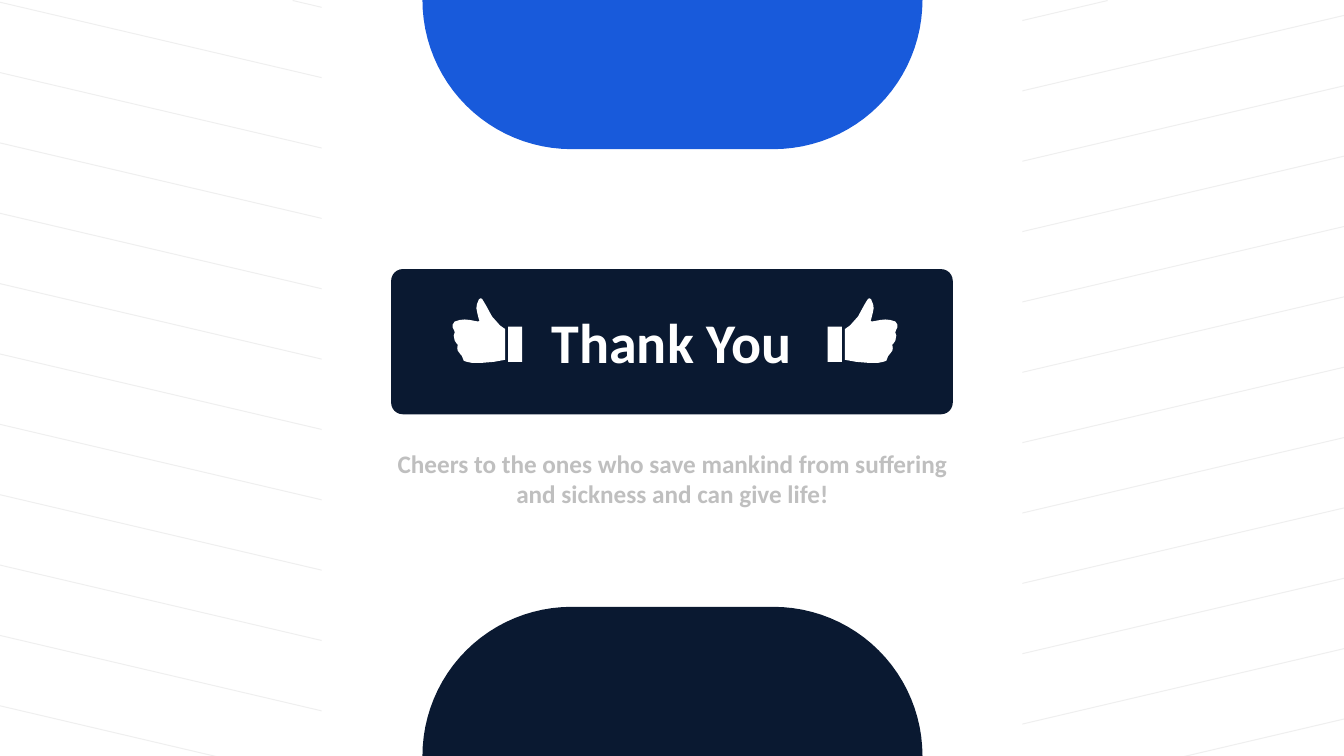
from math import cos, pi, sin

from pptx import Presentation
from pptx.dml.color import RGBColor
from pptx.enum.shapes import MSO_SHAPE
from pptx.enum.text import MSO_AUTO_SIZE, PP_ALIGN
from pptx.util import Inches, Pt

WHITE = RGBColor(0xFF, 0xFF, 0xFF)
NAVY = RGBColor(0x0A, 0x19, 0x31)
BLUE = RGBColor(0x18, 0x5A, 0xDB)
PALE = RGBColor(0xEF, 0xEF, 0xEF)
GREY = RGBColor(0xBF, 0xBF, 0xBF)

WIDE, HIGH = 13.33, 7.5
SLOPE, STEP, THICK = 0.2346, 0.698, 0.01
MIRROR = 13.39  # sum of the x values of a point and its twin on the card

THUMB = [
    (8.38, 3.57), (8.49, 3.59), (8.61, 3.6), (8.71, 3.6), (8.76, 3.59),
    (8.79, 3.58), (8.81, 3.53), (8.82, 3.52), (8.85, 3.48), (8.855, 3.455),
    (8.85, 3.42), (8.86, 3.41), (8.88, 3.38), (8.89, 3.33), (8.88, 3.3),
    (8.885, 3.28), (8.9, 3.25), (8.9, 3.22), (8.88, 3.19), (8.83, 3.175),
    (8.78, 3.17), (8.73, 3.175), (8.65, 3.19), (8.635, 3.185), (8.64, 3.17),
    (8.655, 3.11), (8.665, 3.06), (8.66, 3.02), (8.64, 2.97), (8.625, 2.96),
    (8.61, 2.965), (8.6, 2.98), (8.57, 3.03), (8.51, 3.14), (8.43, 3.23),
    (8.38, 3.265),
]


class Deck:
    def __init__(self):
        self.prs = Presentation()
        self.prs.slide_width = Inches(WIDE)
        self.prs.slide_height = Inches(HIGH)
        self.slide = self.prs.slides.add_slide(self.prs.slide_layouts[6])
        self.shapes = self.slide.shapes
        self.font = "Calibri"

    def paint(self, shape, color):
        shape.shadow.inherit = False
        shape.fill.solid()
        shape.fill.fore_color.rgb = color
        shape.line.fill.background()
        return shape

    def box(self, kind, x, y, w, h, color):
        shape = self.shapes.add_shape(
            kind, Inches(x), Inches(y), Inches(w), Inches(h))
        return self.paint(shape, color)

    def outline(self, loops, color):
        """Draw closed loops of points as one filled freeform."""
        loops = [[(Inches(x), Inches(y)) for x, y in loop] for loop in loops]
        pen = self.shapes.build_freeform(*loops[0][0])
        for i, loop in enumerate(loops):
            if i:
                pen.move_to(*loop[0])
            pen.add_line_segments(loop[1:], close=True)
        return self.paint(pen.convert_to_shape(), color)

    def text(self, words, x, y, w, h, size, color, wrap):
        box = self.shapes.add_textbox(
            Inches(x), Inches(y), Inches(w), Inches(h))
        frame = box.text_frame
        frame.word_wrap = wrap
        frame.auto_size = MSO_AUTO_SIZE.SHAPE_TO_FIT_TEXT
        para = frame.paragraphs[0]
        para.alignment = PP_ALIGN.CENTER
        run = para.add_run()
        run.text = words
        run.font.name = self.font
        run.font.size = Pt(size)
        run.font.bold = True
        run.font.color.rgb = color


def stripe(inner, outer, low):
    """Thin band rising from the inner to the outer edge, cut at the slide."""
    side = 1 if outer > inner else -1
    near = max(0, (low - HIGH) / SLOPE)
    far = min(abs(outer - inner), low / SLOPE)
    ends = [(inner + side * run, low - SLOPE * run) for run in (near, far)]
    return ends + [(x, y + THICK) for x, y in reversed(ends)]


def cap(left, right, edge, tip):
    """Half pill with quarter-circle corners as tall as the shape."""
    rad, turns = abs(tip - edge), 24
    arc = [(rad * (1 - cos(a)), edge + (tip - edge) * sin(a))
           for a in (pi / 2 * i / turns for i in range(turns + 1))]
    return ([(left + x, y) for x, y in arc]
            + [(right - x, y) for x, y in reversed(arc)])


def main():
    deck = Deck()
    deck.outline([stripe(inner, outer, 1.19 + STEP * i)
                  for inner, outer in ((8.89, WIDE), (5, 0))
                  for i in range(-1, 11)], PALE)
    deck.box(MSO_SHAPE.RECTANGLE, 3.19, 0, 6.95, HIGH, WHITE)
    deck.outline([cap(4.19, 9.15, HIGH, 6.02)], NAVY)
    deck.outline([cap(4.19, 9.15, 0, 1.48)], BLUE)

    card = deck.box(MSO_SHAPE.ROUNDED_RECTANGLE, 3.88, 2.67, 5.57, 1.44, NAVY)
    card.adjustments[0] = 0.08
    deck.outline([THUMB], WHITE)
    deck.outline([[(MIRROR - x, y) for x, y in THUMB]], WHITE)
    for x in (8.21, 5.04):
        deck.box(MSO_SHAPE.RECTANGLE, x, 3.24, 0.14, 0.35, WHITE)

    deck.text("Thank You", 5.13, 3, 3.06, 0.77, 40, WHITE, False)
    deck.text("Cheers to the ones who save mankind from suffering "
              "and sickness and can give life!",
              3.65, 4.4, 6.04, 0.71, 18, GREY, True)
    deck.prs.save("out.pptx")


if __name__ == "__main__":
    main()
